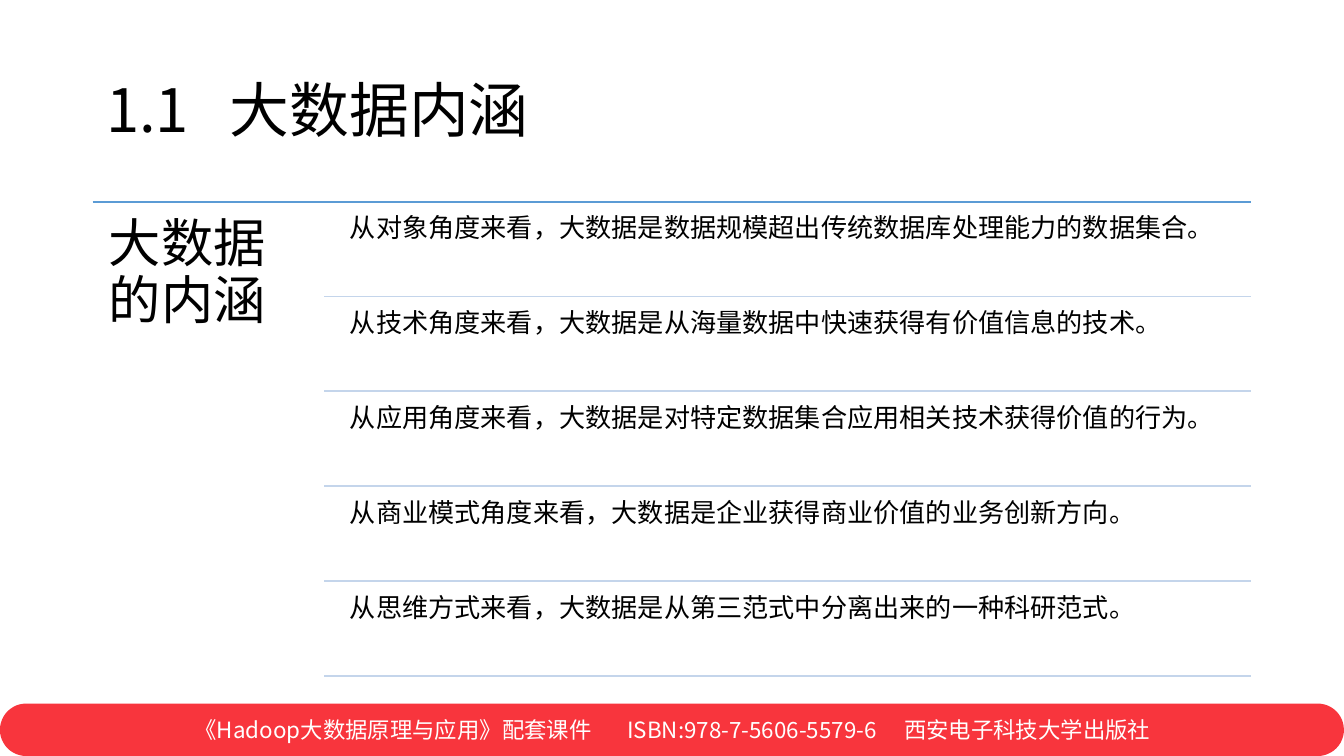
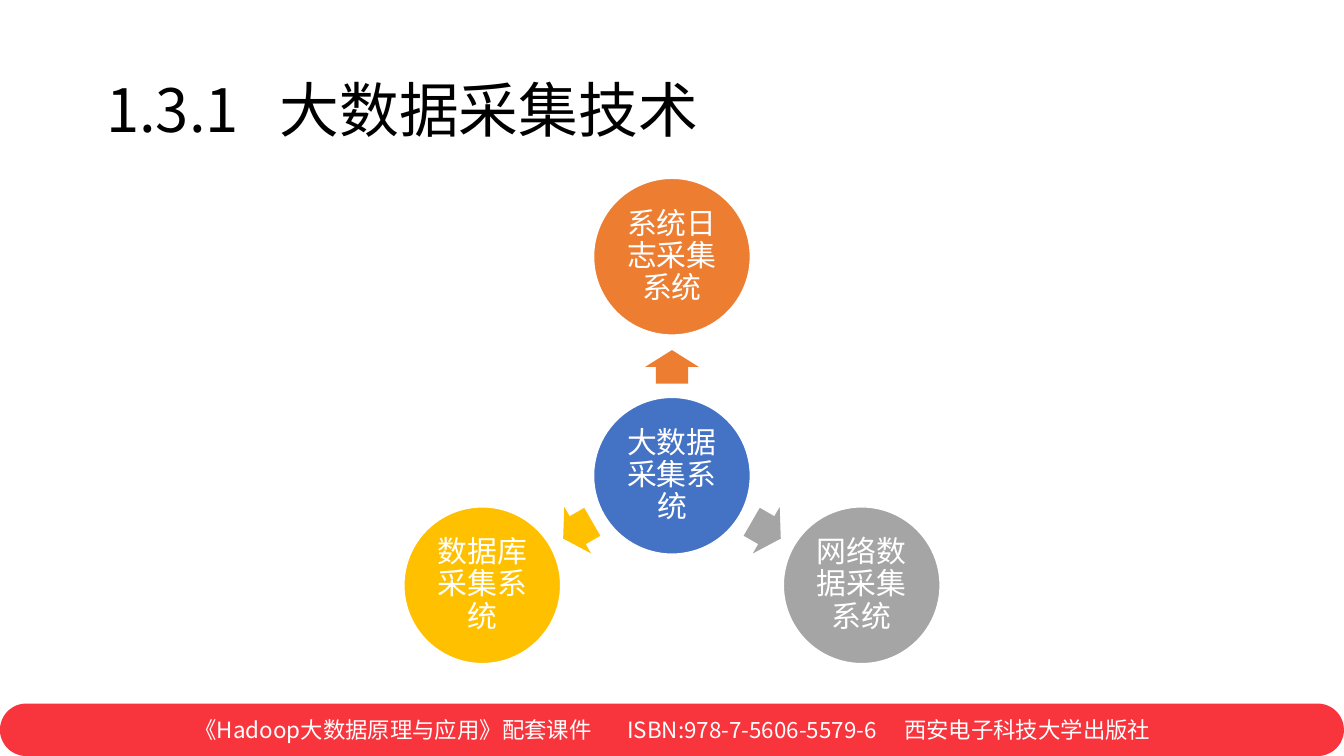
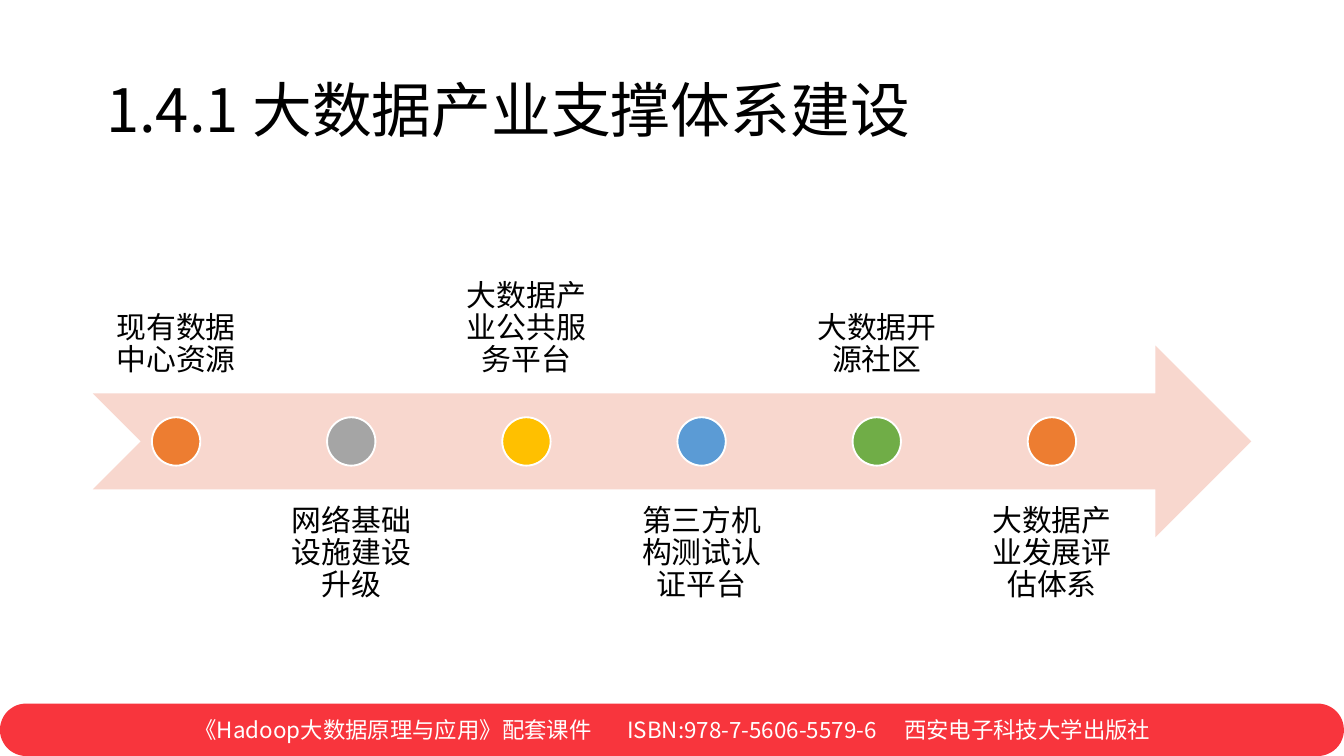
"""Build three slides on big data: meaning, collection technology and industry support."""
from math import cos, radians, sin

from lxml import etree
from pptx import Presentation, util as u
from pptx.dml.color import RGBColor
from pptx.enum import shapes, text
from pptx.oxml.ns import qn

FONT = "Noto Sans CJK SC"
BLACK, WHITE, RED, BLUE = "000000", "FFFFFF", "F8353D", "4472C4"
ORANGE, GRAY, GOLD, SKY, GREEN = "ED7D31", "A5A5A5", "FFC000", "5B9BD5", "70AD47"
PALE_BLUE, PALE_ORANGE = "C4D5EB", "F8D7CE"

FOOTER = "《Hadoop大数据原理与应用》配套课件\tISBN:978-7-5606-5579-6\t西安电子科技大学出版社"
FOOTER_INSET, FOOTER_TABS = 1.39, (3.22, 5.28)

MEANING_TITLE = ("1.1\t大数据内涵", (0.92,))
MEANING = "大数据的内涵"
VIEWS = [
    "从对象角度来看，大数据是数据规模超出传统数据库处理能力的数据集合。",
    "从技术角度来看，大数据是从海量数据中快速获得有价值信息的技术。",
    "从应用角度来看，大数据是对特定数据集合应用相关技术获得价值的行为。",
    "从商业模式角度来看，大数据是企业获得商业价值的业务创新方向。",
    "从思维方式来看，大数据是从第三范式中分离出来的一种科研范式。",
]

COLLECTION_TITLE = ("1.3.1\t大数据采集技术", (1.29,))
HUB = ("大数据采集系统", BLUE)
SYSTEMS = [
    ("系统日志采集系统", ORANGE, 270),
    ("网络数据采集系统", GRAY, 30),
    ("数据库采集系统", GOLD, 150),
]

SUPPORT_TITLE = ("1.4.1 大数据产业支撑体系建设", ())
STAGES = [
    ("现有数据中心资源", ORANGE),
    ("网络基础设施建设升级", GRAY),
    ("大数据产业公共服务平台", GOLD),
    ("第三方机构测试认证平台", SKY),
    ("大数据开源社区", GREEN),
    ("大数据产业发展评估体系", ORANGE),
]

WIDTH = 10
HEIGHT = WIDTH * 9 / 16
LEFT, TOP, BODY_W, BODY_H = 0.69, 1.5, 8.62, 3.57
RIGHT = LEFT + BODY_W
MID, TOP_ANCHOR, BOTTOM = (text.MSO_ANCHOR.MIDDLE, text.MSO_ANCHOR.TOP,
                           text.MSO_ANCHOR.BOTTOM)
START, CENTER = text.PP_ALIGN.LEFT, text.PP_ALIGN.CENTER
SHAPE = shapes.MSO_SHAPE


def rgb(color):
    return RGBColor.from_string(color)


def inches(*values):
    return [u.Inches(v) for v in values]


def write(shape, words, size, color=BLACK, align=START, anchor=TOP_ANCHOR,
          inset=0.12, spacing=0.9, tabs=()):
    tf = shape.text_frame
    tf.word_wrap = True
    tf.vertical_anchor = anchor
    tf.margin_left = tf.margin_right = tf.margin_top = tf.margin_bottom = u.Inches(inset)
    p = tf.paragraphs[0]
    p.text = words
    p.alignment = align
    p.line_spacing = spacing
    if tabs:
        tab_list = etree.SubElement(p._p.get_or_add_pPr(), qn("a:tabLst"))
        for pos in tabs:
            etree.SubElement(tab_list, qn("a:tab"), pos=str(u.Inches(pos)), algn="l")
    p.font.size = u.Pt(size)
    p.font.name = FONT
    p.font.color.rgb = rgb(color)
    etree.SubElement(p._p.pPr.find(qn("a:defRPr")), qn("a:ea"), typeface=FONT)
    return tf


def add_text(s, box, words, size, **style):
    write(s.shapes.add_textbox(*inches(*box)), words, size, **style)


def add_block(s, kind, box, fill, line=None):
    sp = s.shapes.add_shape(kind, *inches(*box))
    sp.shadow.inherit = False
    sp.fill.solid()
    sp.fill.fore_color.rgb = rgb(fill)
    if line:
        sp.line.color.rgb = rgb(line)
        sp.line.width = u.Pt(1)
    else:
        sp.line.fill.background()
    return sp


def add_centered(s, kind, x, y, w, h, fill, line=None):
    return add_block(s, kind, (x - w / 2, y - h / 2, w, h), fill, line)


def add_rule(s, x, y, color):
    line = s.shapes.add_connector(shapes.MSO_CONNECTOR.STRAIGHT, *inches(x, y, RIGHT, y))
    line.line.color.rgb = rgb(color)
    line.line.width = u.Pt(1)
    etree.SubElement(line._element.spPr, qn("a:effectLst"))


def add_slide(prs, title):
    s = prs.slides.add_slide(prs.slide_layouts[5])
    words, tabs = title
    sp = s.shapes.title
    sp.left, sp.top, sp.width, sp.height = inches(LEFT, 0.3, BODY_W, 1.09)
    write(sp, words, 32, anchor=MID, inset=0.1, tabs=tabs)
    return s


def move_footer_to_layout(s):
    band = 0.39
    bar = add_block(s, SHAPE.ROUNDED_RECTANGLE, (0, HEIGHT - band, WIDTH, band), RED)
    bar.adjustments[0] = 0.5
    tf = write(bar, FOOTER, 12, WHITE, anchor=MID, inset=0, spacing=1, tabs=FOOTER_TABS)
    tf.margin_left = u.Inches(FOOTER_INSET)
    s.slide_layout.shapes.element.append(bar.element)


def fill_meaning(s):
    gap = 0.04
    pitch = (BODY_H - gap) / len(VIEWS)
    rule_x = LEFT + BODY_W / 5
    text_x = rule_x + 0.13
    add_rule(s, LEFT, TOP, SKY)
    add_text(s, (LEFT, TOP, BODY_W / 5, BODY_H), MEANING, 28)
    for i, view in enumerate(VIEWS):
        y = TOP + i * pitch
        add_text(s, (text_x, y + gap, RIGHT - text_x, pitch - gap), view, 14, inset=0.06)
        add_rule(s, rule_x, y + pitch, PALE_BLUE)


def fill_collection(s):
    hub_x, hub_y, orbit, arrow_orbit, size = WIDTH / 2, 3.54, 1.63, 0.81, 1.17

    def add_circle(x, y, words, color):
        sp = add_centered(s, SHAPE.OVAL, x, y, size, size, color, WHITE)
        write(sp, words, 16, WHITE, CENTER, MID, 0.02)

    add_circle(hub_x, hub_y, *HUB)
    for words, color, angle in SYSTEMS:
        dx, dy = cos(radians(angle)), sin(radians(angle))
        arrow = add_centered(s, SHAPE.RIGHT_ARROW, hub_x + arrow_orbit * dx,
                             hub_y + arrow_orbit * dy, 0.25, 0.4, color)
        arrow.adjustments[0] = 0.6
        arrow.rotation = angle
        add_circle(hub_x + orbit * dx, hub_y + orbit * dy, words, color)


def fill_support(s):
    band, dot = 0.4 * BODY_H, 0.36
    gap_share = 0.05
    count = len(STAGES)
    label_w = 0.9 * BODY_W / (count + gap_share * (count - 1))
    middle = TOP + BODY_H / 2
    add_block(s, SHAPE.NOTCHED_RIGHT_ARROW, (LEFT, middle - band / 2, BODY_W, band),
              PALE_ORANGE)
    for i, (words, color) in enumerate(STAGES):
        x = LEFT + i * label_w * (1 + gap_share)
        y, anchor = (TOP + BODY_H - band, TOP_ANCHOR) if i % 2 else (TOP, BOTTOM)
        add_text(s, (x, y, label_w, band), words, 16, align=CENTER, anchor=anchor)
        add_centered(s, SHAPE.OVAL, x + label_w / 2, middle, dot, dot, color, WHITE)


def main():
    prs = Presentation()
    prs.slide_width, prs.slide_height = inches(WIDTH, HEIGHT)
    pages = [(MEANING_TITLE, fill_meaning), (COLLECTION_TITLE, fill_collection),
             (SUPPORT_TITLE, fill_support)]
    for title, fill in pages:
        fill(add_slide(prs, title))
    move_footer_to_layout(prs.slides[0])
    prs.save("out.pptx")


if __name__ == "__main__":
    main()
